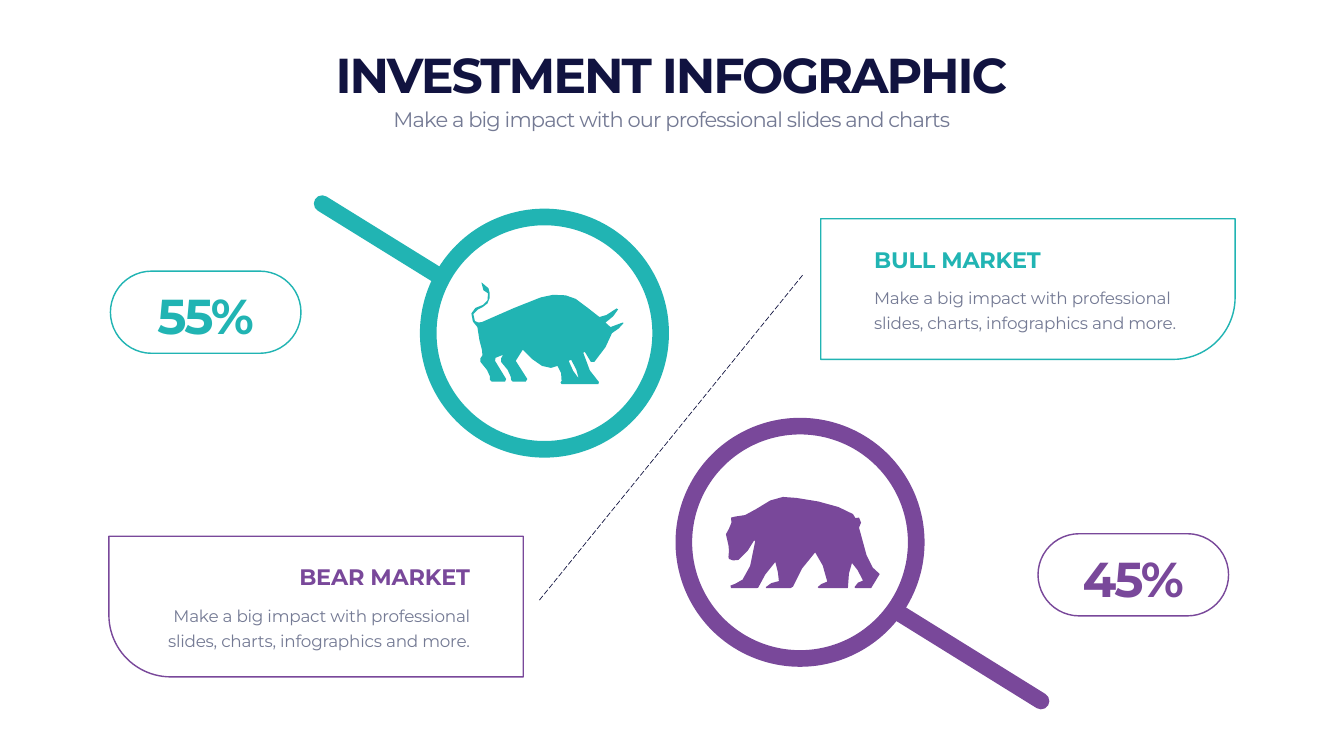
"""Build a bull and bear market slide with two magnifying glasses."""
import math

import pptx
import pptx.dml.color
import pptx.enum.dml
import pptx.enum.shapes
import pptx.enum.text
import pptx.oxml
import pptx.util
from pptx.util import Inches

THEME = {
    "font": "Montserrat", "navy": "111340", "grey": "747A94", "white": "FFFFFF",
    "teal": "21B4B3", "purple": "79489A",
    "display": 70, "subtitle": 30, "heading": 32, "body": 24, "outline": 2,
}
TITLE = "INVESTMENT INFOGRAPHIC"
SUBTITLE = "Make a big impact with our professional slides and charts"
BODY = "Make a big impact with professional slides, charts, infographics and more."

BEAR = [[
    (17.04, 10.47), (17.08, 10.37), (17.04, 10.27), (16.97, 10.28), (16.92, 10.2),
    (16.63, 10.06), (16.23, 9.95), (15.8, 9.88), (15.53, 9.86), (15.28, 9.93),
    (15, 10.1), (14.78, 10.22), (14.58, 10.25), (14.5, 10.27), (14.51, 10.37),
    (14.46, 10.49), (14.4, 10.6), (14.45, 10.82), (14.46, 10.93), (14.45, 11.05),
    (14.46, 11.09), (14.54, 11.12), (14.65, 11.11), (14.83, 10.93), (14.96, 10.72),
    (14.98, 10.74), (14.88, 11.23), (14.73, 11.5), (14.59, 11.58), (14.49, 11.62),
    (14.5, 11.67), (15.01, 11.67), (15.04, 11.66), (15.18, 11.4), (15.38, 11.15),
    (15.43, 11.35), (15.45, 11.53), (15.3, 11.57), (15.19, 11.65), (15.2, 11.67),
    (15.68, 11.67), (15.73, 11.64), (15.91, 11.28), (16.17, 10.96), (16.32, 11.22),
    (16.41, 11.54), (16.29, 11.59), (16.22, 11.65), (16.24, 11.67), (16.81, 11.67),
    (16.82, 11.66), (16.84, 11.38), (16.9, 11.17), (17.01, 11.31), (17.12, 11.52),
    (17.02, 11.56), (16.95, 11.65), (16.97, 11.67), (17.28, 11.67), (17.45, 11.39),
    (17.31, 11.26), (17.19, 11.02),
]]
BULL = [
    [(11.33, 7.14), (11.43, 7.33), (11.48, 7.51), (11.37, 7.36), (11.28, 7.16)],
    [
        (12.37, 6.41), (12.35, 6.4), (12.11, 6.49), (12.01, 6.4), (12.16, 6.28),
        (12.26, 6.14), (12.23, 6.12), (12.03, 6.25), (11.89, 6.29), (11.66, 6.11),
        (11.42, 5.93), (11.22, 5.86), (10.97, 5.85), (10.73, 5.9), (10.2, 6.11),
        (9.56, 6.39), (9.49, 6.4), (9.42, 6.37), (9.39, 6.23), (9.48, 6.14),
        (9.58, 6.09), (9.67, 6.02), (9.71, 5.92), (9.71, 5.8), (9.69, 5.72),
        (9.63, 5.67), (9.56, 5.61), (9.55, 5.61), (9.59, 5.76), (9.68, 5.82),
        (9.67, 5.96), (9.58, 6.05), (9.43, 6.11), (9.35, 6.22), (9.38, 6.38),
        (9.47, 6.49), (9.51, 6.75), (9.56, 6.94), (9.57, 7.05), (9.53, 7.11),
        (9.53, 7.18), (9.66, 7.34), (9.72, 7.47), (9.72, 7.54), (9.75, 7.57),
        (10.02, 7.57), (10.04, 7.52), (9.82, 7.16), (9.83, 7.1), (9.98, 7.04),
        (9.94, 7.11), (9.94, 7.18), (10.07, 7.34), (10.13, 7.47), (10.14, 7.54),
        (10.17, 7.57), (10.43, 7.57), (10.46, 7.52), (10.23, 7.16), (10.37, 6.94),
        (10.55, 7.12), (10.75, 7.26), (10.93, 7.3), (11.06, 7.26), (11.13, 7.4),
        (11.14, 7.56), (11.12, 7.59), (11.14, 7.62), (11.87, 7.62), (11.88, 7.58),
        (11.7, 7.35), (11.57, 7), (11.6, 6.98), (11.72, 7.18), (11.79, 7.18),
        (12.01, 6.89), (12.14, 6.61), (12.27, 6.52),
    ],
]
MARKETS = [
    {"name": "BEAR MARKET", "share": "45%", "color": "purple", "animal": BEAR,
     "center": (15.87, 10.76), "handle": ((14.48, 10.08), (20.65, 13.91)),
     "pill": (20.59, 10.59), "card": (2.16, 10.64), "text_dx": 0.68,
     "flips": ("flipH", "flipV"), "align": "RIGHT"},
    {"name": "BULL MARKET", "share": "55%", "color": "teal", "animal": BULL,
     "center": (10.8, 6.61), "handle": ((6.39, 4.04), (12.17, 7.62)),
     "pill": (2.19, 5.38), "card": (16.28, 4.34), "text_dx": 0.96,
     "flips": ("flipV",), "align": "LEFT"},
]
DIVIDER = ((15.92, 5.46), (10.69, 11.92))
LENS, RING, STROKE = 4.61, 4.94, 0.33
PILL, CARD = (3.78, 1.63), (8.22, 2.79)
SHAPE = pptx.enum.shapes.MSO_SHAPE


def rgb(name):
    return pptx.dml.color.RGBColor.from_string(THEME[name])


def paint(sp, fill=None, line=None):
    sp.shadow.inherit = False
    if fill:
        sp.fill.solid()
        sp.fill.fore_color.rgb = rgb(fill)
    else:
        sp.fill.background()
    if line:
        sp.line.color.rgb = rgb(line)
        sp.line.width = pptx.util.Pt(THEME["outline"])
    else:
        sp.line.fill.background()


def add_shape(s, kind, at, size, adj=None, **colors):
    sp = s.shapes.add_shape(kind, *map(Inches, (*at, *size)))
    if adj is not None:
        sp.adjustments[0] = adj
    paint(sp, **colors)
    return sp


def write(sp, text, size, color, align="CENTER", anchor="TOP", bold=False,
          spacing=-0.3, leading=None):
    tf = sp.text_frame
    tf.word_wrap = True
    tf.auto_size = pptx.enum.text.MSO_AUTO_SIZE.SHAPE_TO_FIT_TEXT
    tf.vertical_anchor = pptx.enum.text.MSO_ANCHOR[anchor]
    p = tf.paragraphs[0]
    p.text = text
    p.alignment = pptx.enum.text.PP_ALIGN[align]
    if leading:
        p.line_spacing = pptx.util.Pt(leading)
    p.font.name, p.font.bold = THEME["font"], bold
    p.font.size = pptx.util.Pt(THEME[size])
    p.font.color.rgb = rgb(color)
    p.font._element.set("spc", str(round(spacing * 100)))


def add_text(s, box, *args, **kwargs):
    write(s.shapes.add_textbox(*map(Inches, box)), *args, **kwargs)


def add_glass(s, market):
    color = market["color"]
    (x1, y1), (x2, y2) = market["handle"]
    length = math.hypot(x2 - x1, y2 - y1) + STROKE
    at = ((x1 + x2 - length) / 2, (y1 + y2 - STROKE) / 2)
    sp = add_shape(s, SHAPE.ROUNDED_RECTANGLE, at, (length, STROKE), 0.5, fill=color)
    sp.rotation = math.degrees(math.atan2(y2 - y1, x2 - x1))
    for kind, d, adj, fill in ((SHAPE.OVAL, LENS, None, "white"),
                               (SHAPE.DONUT, RING, STROKE / RING, color)):
        at = [c - d / 2 for c in market["center"]]
        add_shape(s, kind, at, (d, d), adj, fill=fill)
    outlines = [[(Inches(x), Inches(y)) for x, y in o] for o in market["animal"]]
    builder = s.shapes.build_freeform(*outlines[0][0])
    for i, outline in enumerate(outlines):
        if i:
            builder.move_to(*outline[0])
        builder.add_line_segments(outline[1:], close=True)
    paint(builder.convert_to_shape(), fill=color)


def add_labels(s, market):
    color, align = market["color"], market["align"]
    x, y = market["pill"]
    add_shape(s, SHAPE.ROUNDED_RECTANGLE, (x, y), PILL, 0.5, line=color)
    add_text(s, (x + 0.38, y + 0.23, 3.02, 1.28), market["share"], "display", color,
             anchor="MIDDLE", bold=True, spacing=-2.9)
    x, y = market["card"]
    sp = add_shape(s, SHAPE.ROUND_1_RECTANGLE, (x, y), CARD, 0.44, line=color)
    for flip in market["flips"]:
        sp._element.spPr.xfrm.set(flip, "1")
    x += market["text_dx"]
    add_text(s, (x, y + 0.48, 6.58, 0.64), market["name"], "heading", color, align,
             "BOTTOM", bold=True)
    add_text(s, (x, y + 1.22, 6.58, 1.07), BODY, "body", "grey", align, leading=36)


def main():
    prs = pptx.Presentation()
    prs.slide_width, prs.slide_height = Inches(26.66), Inches(15)
    s = prs.slides.add_slide(prs.slide_layouts[5])
    title = s.shapes.title
    title.left, title.top, title.width, title.height = map(Inches, (1.66, 0.82, 23.33, 1.28))
    write(title, TITLE, "display", "navy", anchor="BOTTOM", bold=True, spacing=-2.9)
    add_text(s, (1.66, 2.06, 23.33, 0.61), SUBTITLE, "subtitle", "grey", spacing=-1.2)
    for market in MARKETS:
        add_glass(s, market)
    line = s.shapes.add_connector(pptx.enum.shapes.MSO_CONNECTOR.STRAIGHT,
                                  *(Inches(c) for point in DIVIDER for c in point))
    line.line.color.rgb = rgb("navy")
    line.line.width = pptx.util.Pt(1)
    line.line.dash_style = pptx.enum.dml.MSO_LINE.LONG_DASH
    line._element.spPr.append(pptx.oxml.parse_xml(
        '<a:effectLst xmlns:a="http://schemas.openxmlformats.org/drawingml/2006/main"/>'))
    for market in MARKETS:
        add_labels(s, market)
    prs.save("out.pptx")


if __name__ == "__main__":
    main()
